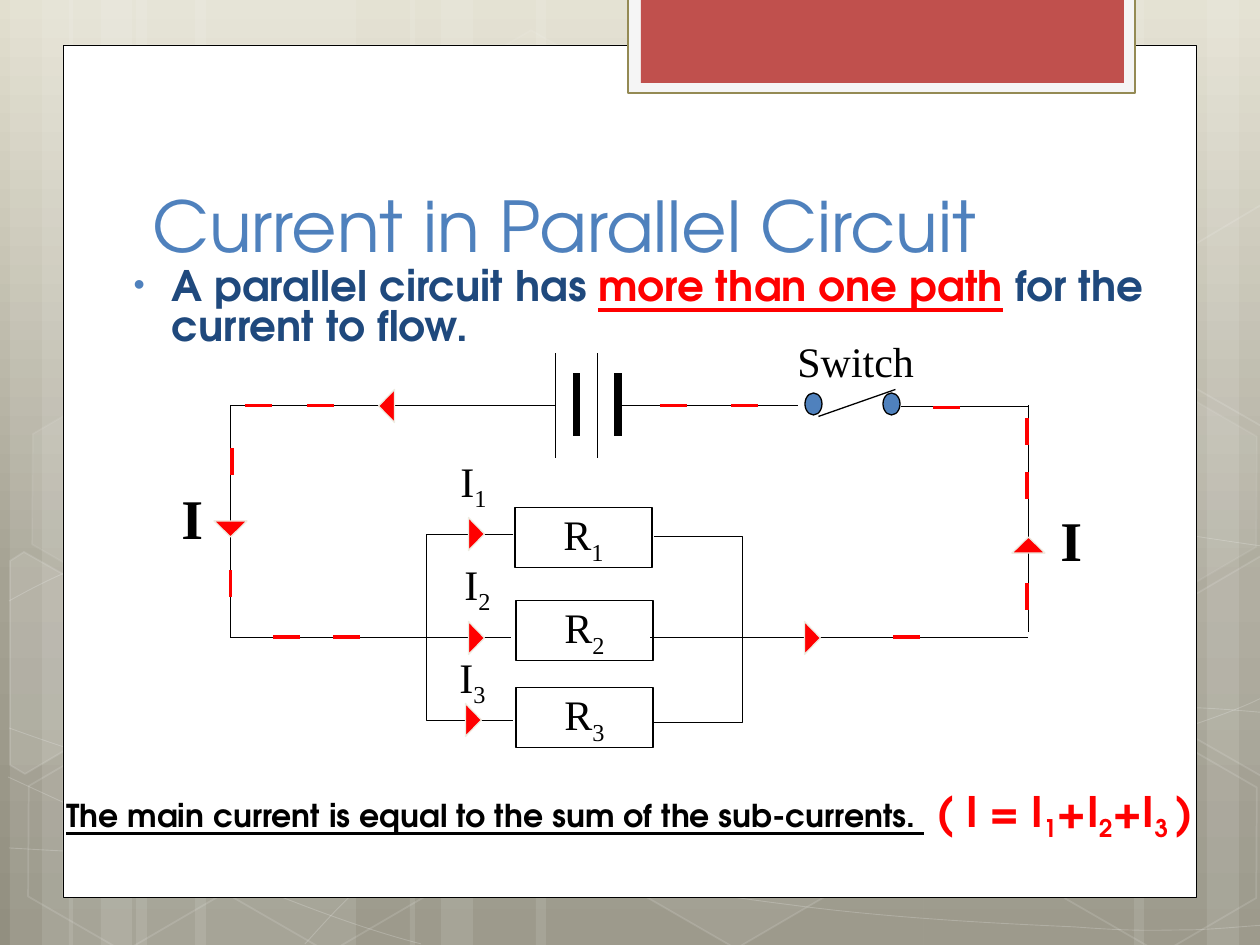
"""Build the slide about current in a parallel circuit."""
from copy import deepcopy

from lxml.etree import SubElement
from pptx import Presentation
from pptx.dml.color import RGBColor
from pptx.enum.shapes import MSO_CONNECTOR, MSO_SHAPE
from pptx.enum.text import MSO_ANCHOR, MSO_AUTO_SIZE, PP_ALIGN
from pptx.oxml.ns import qn
from pptx.util import Pt

PIXEL = 7257
HALF = PIXEL // 2
WHITE = RGBColor(0xFF, 0xFF, 0xFF)
BLACK = RGBColor(0, 0, 0)
RED = RGBColor(0xFF, 0, 0)
BLUE = RGBColor(0x4F, 0x81, 0xBD)
NAVY = RGBColor(0x1F, 0x49, 0x7D)
CREAM = RGBColor(0xEE, 0xEC, 0xE1)
OLIVE = RGBColor(0x94, 0x8A, 0x54)
PALE = RGBColor(0xF5, 0xF5, 0xF5)
BRICK = RGBColor(0xC0, 0x50, 0x4D)
BACKGROUND = [(0, RGBColor(0xE2, 0xDF, 0xCF)), (0.62, RGBColor(0xA5, 0xA2, 0x93)),
              (1, RGBColor(0x92, 0x8F, 0x80))]
SANS = "TeX Gyre Adventor"
SERIF = "Times New Roman"


def style_shape(shape, fill=None, line=None, width=0.75, fill_alpha=100, line_alpha=100):
    shape.shadow.inherit = False
    for fill_format, color, alpha in ((shape.fill, fill, fill_alpha),
                                      (shape.line.fill, line, line_alpha)):
        if color is None or alpha == 0:
            fill_format.background()
            continue
        fill_format.solid()
        fill_format.fore_color.rgb = color
        if alpha < 100:
            parent = shape.element.spPr if fill_format is shape.fill else shape.line._ln
            color_element = parent.find(qn("a:solidFill")).find(qn("a:srgbClr"))
            SubElement(color_element, qn("a:alpha")).set("val", str(alpha * 1000))
    if line is not None:
        shape.line.width = Pt(width)


def write_runs(paragraph, font_name, bold, runs):
    for text, size, color, underline, subscript in runs:
        run = paragraph.add_run()
        run.text = text
        run.font.name = font_name
        run.font.size = Pt(size)
        run.font.bold = bold
        run.font.underline = underline
        run.font.color.rgb = color
        if subscript:
            run._r.get_or_add_rPr().set("baseline", "-25000")


presentation = Presentation()
presentation.slide_width = 1260 * PIXEL
presentation.slide_height = 945 * PIXEL
slide = presentation.slides.add_slide(presentation.slide_layouts[1])
shapes = slide.shapes

background_fill = slide.background.fill
background_fill.gradient()
background_fill.gradient_angle = 270
stop_list = next(slide.element.iter(qn("a:gsLst")))
stop_list.append(deepcopy(stop_list[0]))
for stop, (position, color) in zip(background_fill.gradient_stops, BACKGROUND):
    stop.position = position
    stop.color.rgb = color

for left, width in [(136, 220), (10, 63), (42, 105), (195, 220), (69, 63), (101, 105),
                    (924, 220), (1207, 63), (1134, 105), (536, 388), (410, 63), (441, 105)]:
    stripe = shapes.add_shape(MSO_SHAPE.RECTANGLE, left * PIXEL, 0, width * PIXEL, 945 * PIXEL)
    style_shape(stripe, WHITE, fill_alpha=10)

curves = [
    [(9, 848), (77, 852), (145, 856), (239, 854), (334, 853), (451, 851), (577, 838),
     (703, 825), (882, 801), (998, 777), (1113, 753), (1231, 716), (1269, 694)],
    [(9, 601), (45, 581), (82, 562), (152, 543), (224, 524), (326, 496), (437, 488),
     (549, 479), (685, 478), (824, 488), (963, 498), (1193, 537), (1269, 547)],
    [(8, 777), (160, 847), (311, 916), (421, 944)],
    [(9, 728), (48, 742), (88, 756), (161, 776), (234, 795), (344, 827), (450, 848),
     (554, 869), (687, 892), (791, 905), (896, 919), (1008, 924), (1075, 927),
     (1140, 932), (1158, 930), (1191, 930), (1223, 929), (1246, 926), (1269, 925)],
    [(305, 944), (328, 919), (350, 893), (381, 871), (411, 848), (454, 823), (489, 805),
     (524, 788), (546, 780), (592, 767), (638, 754), (722, 737), (766, 728),
     (811, 719), (818, 719), (857, 717), (896, 713), (958, 709), (1000, 708),
     (1045, 707), (1116, 708), (1116, 708), (1144, 708), (1173, 708), (1201, 708),
     (1223, 709), (1245, 711), (1268, 713)],
]
for curve in curves:
    builder = shapes.build_freeform(*curve[0], scale=PIXEL)
    builder.add_line_segments(curve[1:], close=False)
    freeform = builder.convert_to_shape()
    outline = next(freeform.element.iter(qn("a:path")))
    segments = outline.findall(qn("a:lnTo"))
    for first in range(0, len(segments), 3):
        bezier = SubElement(outline, qn("a:cubicBezTo"))
        for segment in segments[first:first + 3]:
            bezier.append(segment[0])
            outline.remove(segment)
    style_shape(freeform, line=WHITE, width=0.5, line_alpha=20)

for left, top, fill_alpha, line_alpha in [
        (421, 45, 4, 8), (626, 742, 6, 12), (14, 745, 0, 12), (18, 393, 7, 8),
        (219, 746, 0, 12), (949, 571, 10, 12), (1051, 747, 0, 12), (1051, 396, 7, 8)]:
    hexagon = shapes.add_shape(MSO_SHAPE.HEXAGON, left * PIXEL, top * PIXEL,
                               220 * PIXEL, 192 * PIXEL)
    hexagon.adjustments[0] = 0.285
    hexagon.rotation = 30
    style_shape(hexagon, WHITE, WHITE, 1, fill_alpha, line_alpha)

for fill_alpha, points in [
        (10, [(10, 561), (24, 552), (121, 607), (120, 718), (25, 774), (10, 765)]),
        (4, [(1167, 611), (1261, 556), (1271, 562), (1271, 772), (1263, 777), (1167, 722)]),
        (0, [(1167, 261), (1261, 205), (1273, 212), (1271, 422), (1263, 427), (1167, 372)])]:
    builder = shapes.build_freeform(*points[0], scale=PIXEL)
    builder.add_line_segments(points[1:], close=True)
    style_shape(builder.convert_to_shape(), WHITE, WHITE, 1, fill_alpha, 12)

for left, top, width, height, fill, line, line_width in [
        (63, 45, 1134, 853, WHITE, BLACK, 0.5), (628, -3, 507, 96, PALE, OLIVE, 1.25),
        (641, -3, 483, 86, BRICK, None, 0)]:
    panel = shapes.add_shape(MSO_SHAPE.RECTANGLE, left * PIXEL, top * PIXEL,
                             width * PIXEL, height * PIXEL)
    style_shape(panel, fill, line, line_width)

title, body = slide.placeholders
for placeholder, (left, top, width, height) in [(title, (140, 116, 968, 157)),
                                                (body, (111, 263, 1061, 112))]:
    shapes.element.append(placeholder.element)
    placeholder.left, placeholder.top = left * PIXEL, top * PIXEL
    placeholder.width, placeholder.height = width * PIXEL, height * PIXEL
    placeholder.text_frame.auto_size = MSO_AUTO_SIZE.NONE

title.text_frame.text = "Current in Parallel Circuit"
title.text_frame.vertical_anchor = MSO_ANCHOR.BOTTOM
paragraph = title.text_frame.paragraphs[0]
paragraph.alignment = PP_ALIGN.LEFT
title_font = paragraph.runs[0].font
title_font.name, title_font.size, title_font.color.rgb = SANS, Pt(40), BLUE

paragraph = body.text_frame.paragraphs[0]
write_runs(paragraph, SANS, True, [
    ("A parallel circuit has ", 24, NAVY, False, False),
    ("more than one path", 24, RED, True, False),
    (" for the current to flow.", 24, NAVY, False, False)])
paragraph.line_spacing = 0.8
paragraph.space_before = Pt(1)
properties = paragraph._p.get_or_add_pPr()
properties.set("marL", str(48 * PIXEL))
properties.set("indent", str(-38 * PIXEL))
SubElement(SubElement(properties, qn("a:buClr")), qn("a:srgbClr")).set("val", str(BLUE))
SubElement(properties, qn("a:buSzPct")).set("val", "76000")
SubElement(properties, qn("a:buChar")).set("char", "•")

for number, (left, top) in enumerate([(515, 508), (516, 601), (516, 688)], 1):
    resistor = shapes.add_shape(MSO_SHAPE.RECTANGLE, left * PIXEL, top * PIXEL - HALF,
                                137 * PIXEL, 60 * PIXEL)
    style_shape(resistor, line=BLACK)
    resistor.text_frame.word_wrap = False
    resistor.text_frame.vertical_anchor = MSO_ANCHOR.MIDDLE
    paragraph = resistor.text_frame.paragraphs[0]
    paragraph.alignment = PP_ALIGN.CENTER
    write_runs(paragraph, SERIF, False, [("R", 24, BLACK, False, False),
                                         (str(number), 24, BLACK, False, True)])

for left in (805, 883):
    terminal = shapes.add_shape(MSO_SHAPE.OVAL, left * PIXEL, 393 * PIXEL,
                                17 * PIXEL, 22 * PIXEL)
    style_shape(terminal, BLUE, BLACK)

for start, end, top in [(514, 427, 535), (655, 743, 537)]:
    builder = shapes.build_freeform(start, top, scale=PIXEL)
    builder.add_line_segments([(end, top), (end, top + 186), (start, top + 186)], close=False)
    bracket = builder.convert_to_shape(-HALF, -HALF)
    style_shape(bracket, line=BLACK)

wires = [(231, 406, 556, 406), (231, 406, 231, 638), (231, 638, 489, 638),
         (461, 638, 512, 638), (651, 638, 937, 638), (619, 406, 799, 406),
         (1029, 406, 1029, 633), (934, 638, 1029, 638), (819, 417, 896, 390),
         (902, 407, 1029, 407), (556, 354, 556, 459), (598, 354, 598, 459)]
plates = [(577, 374, 577, 437), (619, 374, 619, 437)]
dashes = [(x, y, x + 27, y) for x, y in [(246, 406), (308, 406), (274, 638), (334, 638),
                                         (661, 406), (732, 406), (934, 408), (894, 638)]]
dashes += [(x, y, x, y + 27) for x, y in [(233, 449), (231, 571), (1028, 584),
                                          (1028, 473), (1028, 419)]]
for lines, color, width in [(wires, BLACK, 0.75), (plates, BLACK, 4.5), (dashes, RED, 2.25)]:
    for ends in lines:
        connector = shapes.add_connector(MSO_CONNECTOR.STRAIGHT,
                                         *(end * PIXEL - HALF for end in ends))
        connector.line.color.rgb = color
        connector.line.width = Pt(width)
        SubElement(connector.element.spPr, qn("a:effectLst"))

for left, top, rotation in [(214, 521, 180), (370, 398, 270), (460, 630, 90), (796, 630, 90),
                            (1012, 537, 0), (460, 526, 90), (457, 712, 90)]:
    arrow = shapes.add_shape(MSO_SHAPE.ISOSCELES_TRIANGLE, left * PIXEL, top * PIXEL,
                             33 * PIXEL, 16 * PIXEL)
    arrow.rotation = rotation
    style_shape(arrow, RED, CREAM)

for text, subscript, left, top, width, height, size in [
        ("Switch", "", 785, 329, 147, 63, 24), ("I", "", 169, 477, 60, 79, 32),
        ("I", "", 1048, 499, 60, 79, 32), ("I", "1", 448, 449, 71, 63, 24),
        ("I", "2", 452, 552, 71, 63, 24), ("I", "3", 447, 645, 71, 63, 24)]:
    label = shapes.add_textbox(left * PIXEL, top * PIXEL, width * PIXEL, height * PIXEL)
    label.text_frame.word_wrap = True
    paragraph = label.text_frame.paragraphs[0]
    paragraph.space_before = Pt(3)
    runs = [(text, size, BLACK, False, False)]
    if subscript:
        runs.append((subscript, size, BLACK, False, True))
    write_runs(paragraph, SERIF, size == 32, runs)

summary = shapes.add_textbox(54 * PIXEL, 779 * PIXEL, 1155 * PIXEL, 84 * PIXEL)
summary.text_frame.word_wrap = True
paragraph = summary.text_frame.paragraphs[0]
properties = paragraph._p.get_or_add_pPr()
properties.set("marL", str(48 * PIXEL))
properties.set("indent", str(-48 * PIXEL))
formula = [("( I = I", False), ("1", True), ("+I", False), ("2", True), ("+I", False),
           ("3 ", True), (")", False)]
write_runs(paragraph, SANS, True, [
    ("The main current is equal to the sum of the sub-currents. ", 18, BLACK, True, False),
    (" ", 24, RED, False, False),
    *((text, 24, RED, False, subscript) for text, subscript in formula)])

presentation.save("out.pptx")
